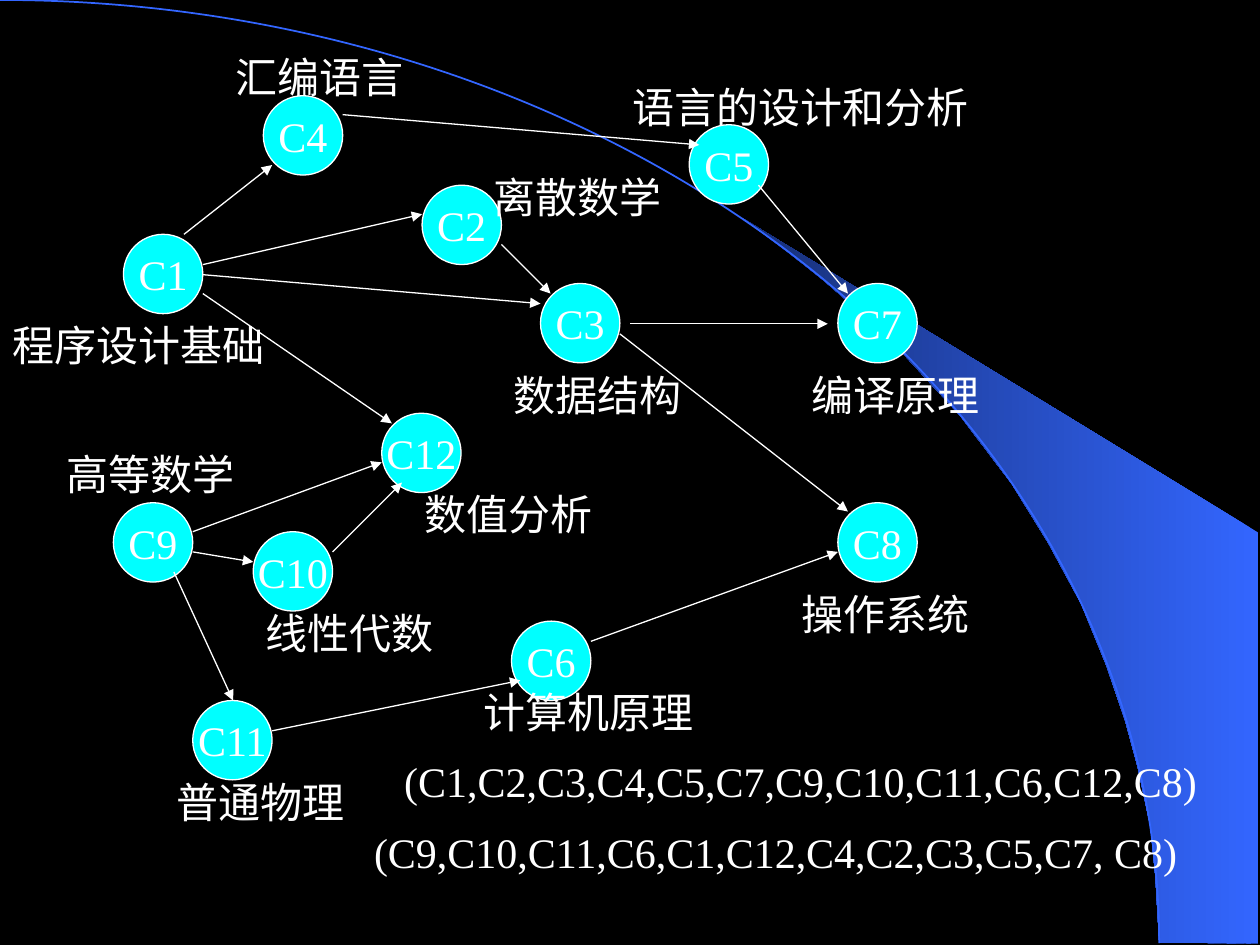
from lxml import etree
from pptx import Presentation
from pptx.dml.color import RGBColor
from pptx.enum.shapes import MSO_CONNECTOR, MSO_SHAPE
from pptx.enum.text import MSO_ANCHOR, MSO_AUTO_SIZE, PP_ALIGN
from pptx.oxml.ns import qn
from pptx.util import Inches, Pt

STRAIGHT = MSO_CONNECTOR.STRAIGHT
OVAL, ARC = MSO_SHAPE.OVAL, MSO_SHAPE.ARC
MIDDLE, CENTER = MSO_ANCHOR.MIDDLE, PP_ALIGN.CENTER
FIT_SHAPE = MSO_AUTO_SIZE.SHAPE_TO_FIT_TEXT

FONT, FONT_SIZE = "Times New Roman", 24
BLACK, WHITE, CYAN = "000000", "FFFFFF", "00FFFF"
BLUE, NAVY = "3366FF", "172F75"
NODE_SIZE, LABEL_HEIGHT = 0.63, 0.5
CHAR_WIDTH, LABEL_MARGIN = 0.333, 0.2

SWOOSH = [(9.2, 7.48), (9.99, 7.49), (9.99, 4.23), (5.89, 1.73), (6.24, 1.99),
          (6.53, 2.22), (6.85, 2.5), (7.16, 2.8), (7.62, 3.3), (8.03, 3.84),
          (8.32, 4.31), (8.58, 4.79), (8.78, 5.28), (8.93, 5.72),
          (9.03, 6.09), (9.13, 6.56), (9.17, 6.96)]

# Course code: (left, top) of its circle
COURSES = {
    "C1": (0.98, 1.86), "C4": (2.09, 0.76), "C2": (3.35, 1.47),
    "C3": (4.29, 2.25), "C12": (3.03, 3.28), "C9": (0.9, 3.99),
    "C10": (2.01, 4.22), "C11": (1.53, 5.56), "C6": (4.06, 4.93),
    "C5": (5.47, 0.99), "C7": (6.65, 2.25), "C8": (6.65, 3.99),
}

# Prerequisite arrows: start x, y, end x, y
ARROWS = [
    (1.46, 1.86, 2.16, 1.31), (2.72, 0.91, 5.55, 1.15),
    (1.61, 2.1, 3.35, 1.7), (3.98, 1.94, 4.37, 2.33),
    (1.61, 2.33, 3.11, 3.36), (1.53, 4.22, 3.03, 3.67),
    (1.53, 4.38, 2.01, 4.46), (2.64, 4.38, 3.19, 3.83),
    (1.38, 4.54, 1.85, 5.56), (2.16, 5.8, 4.13, 5.4),
    (4.69, 5.09, 6.65, 4.38), (4.92, 2.65, 6.73, 4.06),
    (5, 2.57, 6.57, 2.57), (6.02, 1.47, 6.73, 2.33),
    (1.61, 2.18, 4.29, 2.41),
]

# Course name, left, top
COURSE_NAMES = [
    ("程序设计基础", 0, 2.49), ("离散数学", 3.82, 1.31),
    ("数据结构", 3.98, 2.88), ("汇编语言", 1.77, 0.36),
    ("语言的设计和分析", 4.92, 0.6), ("计算机原理", 3.74, 5.4),
    ("编译原理", 6.34, 2.88), ("操作系统", 6.26, 4.62),
    ("高等数学", 0.43, 3.51), ("线性代数", 2.01, 4.77),
    ("普通物理", 1.3, 6.11), ("数值分析", 3.27, 3.83),
]

# Topological order, left, top, width
ORDERS = [
    ("(C1,C2,C3,C4,C5,C7,C9,C10,C11,C6,C12,C8)", 3.11, 5.95, 6.69),
    ("(C9,C10,C11,C6,C1,C12,C4,C2,C3,C5,C7, C8)", 2.87, 6.51, 6.85),
]


def color(value):
    return RGBColor.from_string(value)


def set_line(line, value, width):
    line.color.rgb = color(value)
    line.width = Pt(width)


def write(frame, text):
    span = frame.paragraphs[0].add_run()
    span.text = text
    span.font.name = FONT
    span.font.size = Pt(FONT_SIZE)
    span.font.color.rgb = color(WHITE)


def add_background(page):
    page.background.fill.solid()
    page.background.fill.fore_color.rgb = color(BLACK)

    # Gradient swoosh at the right edge
    points = [(Inches(x), Inches(y)) for x, y in SWOOSH]
    builder = page.shapes.build_freeform(*points[0])
    builder.add_line_segments(points[1:], close=True)
    swoosh = builder.convert_to_shape()
    swoosh.shadow.inherit = False
    swoosh.fill.gradient()
    swoosh.fill.gradient_angle = 180
    for stop, value in zip(swoosh.fill.gradient_stops, (BLUE, NAVY)):
        stop.color.rgb = color(value)
    swoosh.line.fill.background()

    # Quarter ellipse along the swoosh
    curve = page.shapes.add_shape(
        ARC, Inches(-9.2), Inches(0), Inches(18.4), Inches(14.97))
    curve.shadow.inherit = False
    curve.fill.background()
    set_line(curve.line, BLUE, 1)


def add_course(page, code, left, top):
    circle = page.shapes.add_shape(
        OVAL, Inches(left), Inches(top), Inches(NODE_SIZE), Inches(NODE_SIZE))
    circle.shadow.inherit = False
    circle.fill.solid()
    circle.fill.fore_color.rgb = color(CYAN)
    set_line(circle.line, WHITE, 0.75)
    frame = circle.text_frame
    frame.word_wrap = False
    frame.vertical_anchor = MIDDLE
    frame.paragraphs[0].alignment = CENTER
    write(frame, code)


def add_arrow(page, *ends):
    arrow = page.shapes.add_connector(STRAIGHT, *map(Inches, ends))
    set_line(arrow.line, WHITE, 0.75)
    properties = arrow.element.spPr
    outline = properties.find(qn("a:ln"))
    etree.SubElement(outline, qn("a:tailEnd"), type="triangle")
    etree.SubElement(properties, qn("a:effectLst"))


def add_text(page, text, left, top, width, wrap):
    box = page.shapes.add_textbox(
        Inches(left), Inches(top), Inches(width), Inches(LABEL_HEIGHT))
    box.text_frame.word_wrap = wrap
    box.text_frame.auto_size = FIT_SHAPE
    write(box.text_frame, text)


def add_course_graph(page):
    for code, (left, top) in COURSES.items():
        add_course(page, code, left, top)
    for ends in ARROWS:
        add_arrow(page, *ends)
    for name, left, top in COURSE_NAMES:
        width = len(name) * CHAR_WIDTH + LABEL_MARGIN
        add_text(page, name, left, top, width, wrap=False)


def main():
    deck = Presentation()
    deck.slide_width, deck.slide_height = Inches(10), Inches(7.5)
    page = deck.slides.add_slide(deck.slide_layouts[6])
    add_background(page)
    add_course_graph(page)
    for order in ORDERS:
        add_text(page, *order, wrap=True)
    deck.save("out.pptx")


if __name__ == "__main__":
    main()
